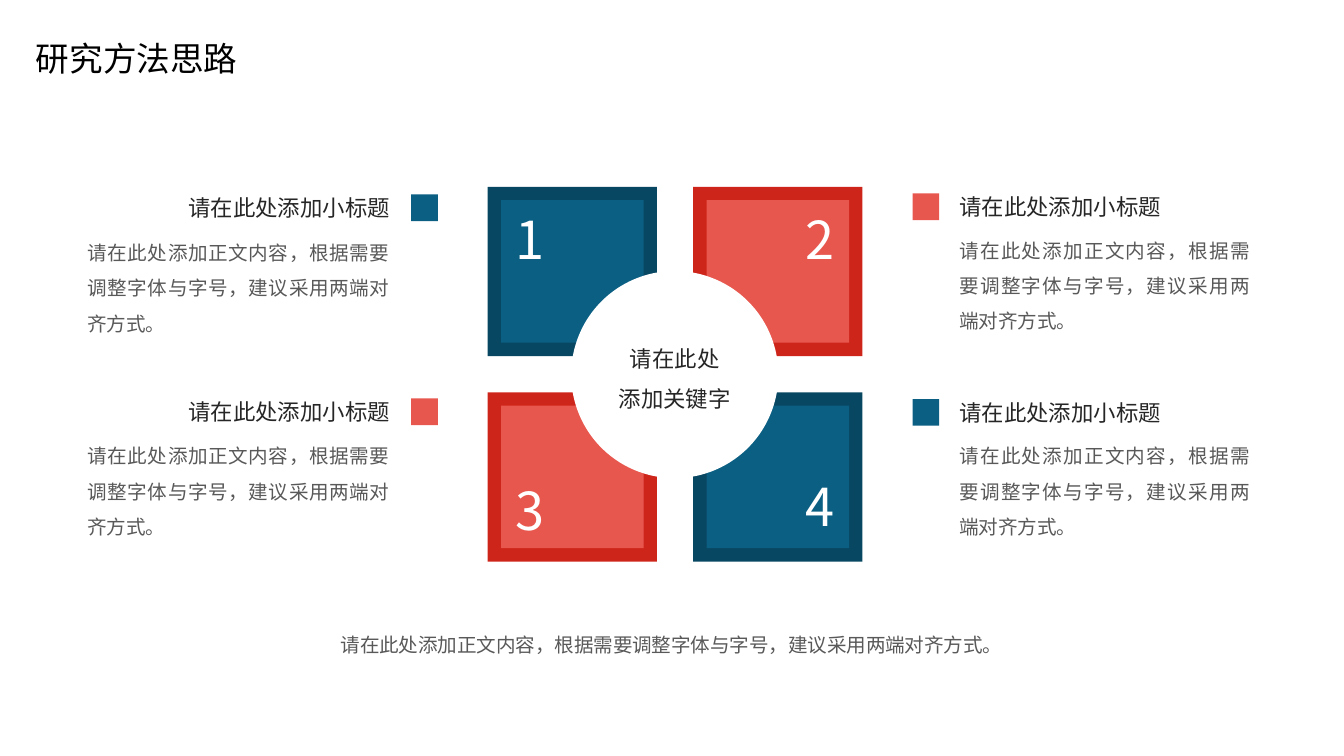
"""Build a research-method slide: four numbered tiles around a hub, with notes."""
from typing import NamedTuple

from lxml import etree
from pptx import Presentation
from pptx.dml.color import RGBColor
from pptx.enum import shapes, text
from pptx.oxml import ns
from pptx.util import Pt

FONT = "Noto Sans CJK SC"
BLACK = RGBColor(0x00, 0x00, 0x00)
WHITE = RGBColor(0xFF, 0xFF, 0xFF)
INK = RGBColor(0x26, 0x26, 0x26)
GREY = RGBColor(0x59, 0x59, 0x59)
BLUE = RGBColor(0x0B, 0x5F, 0x83)
DARK_BLUE = RGBColor(0x08, 0x47, 0x62)
RED = RGBColor(0xE8, 0x57, 0x4E)
DARK_RED = RGBColor(0xCE, 0x25, 0x1B)

HEADING = "请在此处添加小标题"
BODY = "请在此处添加正文内容，根据需要调整字体与字号，建议采用两端对齐方式。"

GRID_LEFT, GRID_TOP, PITCH = 261.3, 100.1, 110.1
TILE, BORDER = 90.7, 7.2
NUMBER_W, NUMBER_H = 31, 41
MARKER = 14.3

RECT = shapes.MSO_SHAPE.RECTANGLE
OVAL = shapes.MSO_SHAPE.OVAL
ALIGN = text.PP_ALIGN


class Tile(NamedTuple):
    number: str
    col: int
    row: int
    fill: RGBColor
    border: RGBColor
    number_top: float


class Side(NamedTuple):
    marker_left: float
    heading_left: float
    heading_width: float
    body_left: float
    body_width: float
    align: ALIGN


class Note(NamedTuple):
    side: Side
    color: RGBColor
    marker_top: float
    heading_top: float
    body_top: float


LEFT = Side(220.3, 71.3, 144.7, 39.6, 176.4, ALIGN.RIGHT)
RIGHT = Side(488.9, 506.9, 157.7, 506.9, 169.9, ALIGN.LEFT)

TILES = [
    Tile("1", 0, 0, BLUE, DARK_BLUE, 107.3),
    Tile("2", 1, 0, RED, DARK_RED, 107.3),
    Tile("3", 0, 1, RED, DARK_RED, 252.7),
    Tile("4", 1, 1, BLUE, DARK_BLUE, 250.6),
]
NOTES = [
    Note(RIGHT, RED, 103.7, 100.1, 118.1),
    Note(RIGHT, BLUE, 213.8, 210.2, 228.2),
    Note(LEFT, BLUE, 104.2, 100.4, 119.3),
    Note(LEFT, RED, 213.5, 209.7, 228.2),
]


def add_block(parent, kind, left: float, top: float, size: float, fill: RGBColor):
    """Add a square or circle of one plain colour."""
    sp = parent.shapes.add_shape(kind, Pt(left), Pt(top), Pt(size), Pt(size))
    sp.shadow.inherit = False
    sp.fill.solid()
    sp.fill.fore_color.rgb = fill
    sp.line.fill.background()
    return sp


def add_text(parent, content: str, left: float, top: float, width: float, height: float, *,
             size: float, color: RGBColor, align=ALIGN.LEFT, spacing=None, wrap=True):
    """Add a text box with one paragraph per line of content."""
    sp = parent.shapes.add_textbox(Pt(left), Pt(top), Pt(width), Pt(height))
    tf = sp.text_frame
    tf.word_wrap = wrap
    tf.auto_size = text.MSO_AUTO_SIZE.SHAPE_TO_FIT_TEXT
    for i, line in enumerate(content.split("\n")):
        p = tf.add_paragraph() if i else tf.paragraphs[0]
        p.alignment = align
        p.line_spacing = spacing
        r = p.add_run()
        r.text = line
        r.font.size = Pt(size)
        r.font.name = FONT
        r.font.color.rgb = color
        etree.SubElement(r.font._element, ns.qn("a:ea"), typeface=FONT)
    return sp


def add_tile(s, tile: Tile) -> None:
    """Add a bordered tile with its number at the outer side."""
    left = GRID_LEFT + tile.col * PITCH
    top = GRID_TOP + tile.row * PITCH
    inner = TILE - 2 * BORDER
    group = s.shapes.add_group_shape()
    add_block(group, RECT, left, top, TILE, tile.border)
    add_block(group, RECT, left + BORDER, top + BORDER, inner, tile.fill)
    number_left = left + BORDER + tile.col * (inner - NUMBER_W)
    add_text(group, tile.number, number_left, tile.number_top, NUMBER_W, NUMBER_H,
             size=28, color=WHITE, align=ALIGN.CENTER, wrap=False)


def add_hub(s) -> None:
    """Add the central circle with its key words."""
    group = s.shapes.add_group_shape()
    circle = add_block(group, OVAL, 309, 148.2, 105, WHITE)
    circle.line.color.rgb = WHITE
    circle.line.width = Pt(6)
    add_text(group, "请在此处\n添加关键字", 324, 174.2, 74.9, 48.2,
             size=12, color=INK, align=ALIGN.CENTER, spacing=1.5, wrap=False)


def add_note(s, note: Note) -> None:
    """Add a colour marker, a heading and body text."""
    side = note.side
    group = s.shapes.add_group_shape()
    add_block(group, RECT, side.marker_left, note.marker_top, MARKER, note.color)
    add_text(group, HEADING, side.heading_left, note.heading_top, side.heading_width, 21.6,
             size=12, color=INK, align=side.align)
    add_text(group, BODY, side.body_left, note.body_top, side.body_width, 64.8,
             size=10.5, color=GREY, align=ALIGN.JUSTIFY, spacing=1.5)


def main() -> None:
    """Build and save the slide."""
    prs = Presentation()
    prs.slide_width, prs.slide_height = Pt(720), Pt(405)
    s = prs.slides.add_slide(prs.slide_layouts[6])
    add_text(s, "研究方法思路", 12.2, 16.6, 123.8, 28.8, size=18, color=BLACK, wrap=False)
    for tile in TILES:
        add_tile(s, tile)
    add_hub(s)
    for note in NOTES:
        add_note(s, note)
    add_text(s, BODY, 136.8, 335.5, 446.4, 20.2, size=10.5, color=GREY, align=ALIGN.CENTER)
    prs.save("out.pptx")


if __name__ == "__main__":
    main()
